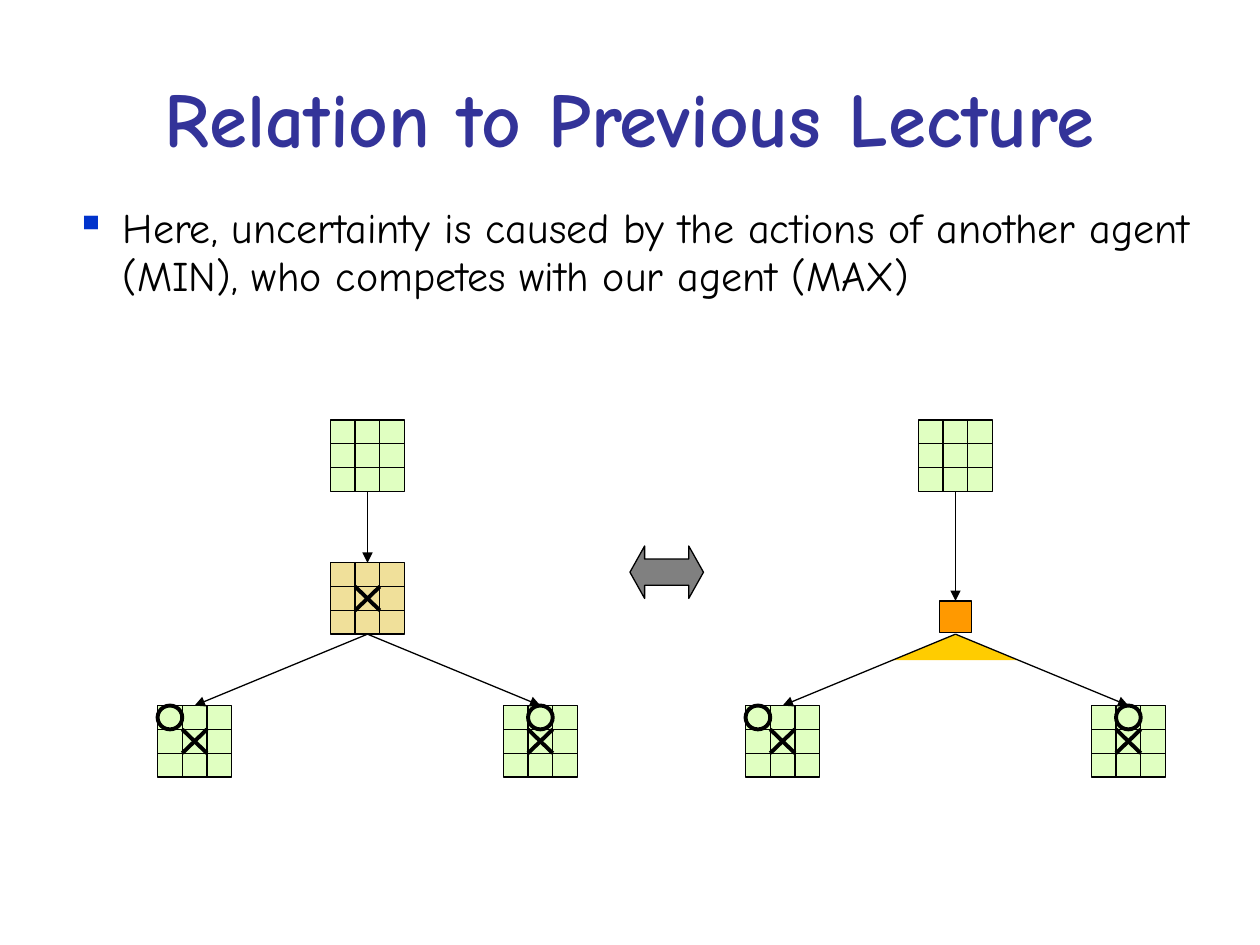
from lxml.etree import SubElement
from pptx import Presentation
from pptx.dml.color import RGBColor
from pptx.enum.shapes import MSO_CONNECTOR, MSO_SHAPE
from pptx.enum.text import MSO_ANCHOR, PP_ALIGN
from pptx.oxml.ns import qn
from pptx.util import Pt

BLACK = RGBColor(0x00, 0x00, 0x00)
TITLE_BLUE = RGBColor(0x33, 0x33, 0x99)
BULLET_BLUE = RGBColor(0x00, 0x33, 0xCC)
GREEN = RGBColor(0xE0, 0xFF, 0xC1)
TAN = RGBColor(0xF0, 0xE0, 0x9A)
ORANGE = RGBColor(0xFF, 0x99, 0x00)
YELLOW = RGBColor(0xFF, 0xCC, 0x00)
GRAY = RGBColor(0x80, 0x80, 0x80)

CELL_W, CELL_H = 14.1, 13.6
BOARD_W, BOARD_H = 3 * CELL_W, 3 * CELL_H
TOP, MIDDLE, BOTTOM = (240 + 2 * BOARD_H * level for level in range(3))
SPREAD = 98.8


class GameSlide:
    font_name = "Comic Neue"
    thin, thick = 0.75, 2.25

    def __init__(self, slide):
        self.shapes = slide.shapes

    def text(self, wording, left, top, width, height, size, color, bold=False):
        frame = self.shapes.add_textbox(Pt(left), Pt(top), Pt(width), Pt(height)).text_frame
        frame.word_wrap = True
        paragraph = frame.paragraphs[0]
        paragraph.text = wording
        font = paragraph.font
        font.name, font.size, font.bold = self.font_name, Pt(size), bold
        font.color.rgb = color
        return frame

    def title(self, wording):
        frame = self.text(wording, 36, 21.6, 648, 90, 44, TITLE_BLUE, bold=True)
        frame.vertical_anchor = MSO_ANCHOR.MIDDLE
        frame.paragraphs[0].alignment = PP_ALIGN.CENTER

    def bullet(self, wording):
        frame = self.text(wording, 36, 113.8, 660, 396, 24, BLACK)
        paragraph = frame.paragraphs[0]
        properties = paragraph.font._element.getparent()
        properties.set("marL", str(Pt(27)))
        properties.set("indent", str(Pt(-27)))
        bullet_color = SubElement(properties, qn("a:buClr"))
        SubElement(bullet_color, qn("a:srgbClr")).set("val", str(BULLET_BLUE))
        bullet_mark = SubElement(properties, qn("a:buChar"))
        bullet_mark.set("char", "▪")
        bullet_mark.addprevious(bullet_color)
        properties.append(paragraph.font._element)
        paragraph.line_spacing = 0.95

    def shape(self, kind, left, top, width, height, fill=None, weight=thin):
        shape = self.shapes.add_shape(kind, Pt(left), Pt(top), Pt(width), Pt(height))
        shape.shadow.inherit = False
        if fill is None:
            shape.fill.background()
        else:
            shape.fill.solid()
            shape.fill.fore_color.rgb = fill
        shape.line.color.rgb = BLACK
        shape.line.width = Pt(weight)
        return shape

    def line(self, x1, y1, x2, y2, weight=thin, arrow=False):
        line = self.shapes.add_connector(MSO_CONNECTOR.STRAIGHT, Pt(x1), Pt(y1), Pt(x2), Pt(y2))
        line.line.color.rgb = BLACK
        line.line.width = Pt(weight)
        if arrow:
            SubElement(line.line._get_or_add_ln(), qn("a:tailEnd")).set("type", "triangle")
        SubElement(line._element.spPr, qn("a:effectLst"))

    def board(self, center, top, fill=GREEN, cross=False, nought_column=None):
        """Draw a 3 by 3 board, with X in the middle and O in the top row if asked."""
        left = center - BOARD_W / 2
        self.shape(MSO_SHAPE.RECTANGLE, left, top, BOARD_W, BOARD_H, fill)
        x1, x2 = left + CELL_W, left + 2 * CELL_W
        y1, y2 = top + CELL_H, top + 2 * CELL_H
        for y in (y1, y2):
            self.line(left, y, left + BOARD_W, y)
        for x in (x1, x2):
            self.line(x, top, x, top + BOARD_H)
        if cross:
            self.line(x1, y1, x2, y2, self.thick)
            self.line(x1, y2, x2, y1, self.thick)
        if nought_column is not None:
            self.shape(MSO_SHAPE.OVAL, left + nought_column * CELL_W, top,
                       CELL_W, CELL_H, weight=self.thick)

    def wedge(self, center, top, half_width, height):
        builder = self.shapes.build_freeform(Pt(center), Pt(top))
        base = top + height
        builder.add_line_segments([(Pt(center - half_width), Pt(base)),
                                   (Pt(center + half_width), Pt(base))], close=True)
        wedge = builder.convert_to_shape()
        wedge.shadow.inherit = False
        wedge.fill.solid()
        wedge.fill.fore_color.rgb = YELLOW
        wedge.line.fill.background()

    def tree(self, center, action_top):
        """Draw the start board, the arrow to the action and the two outcomes."""
        fork = MIDDLE + BOARD_H
        self.board(center, TOP)
        self.line(center, TOP + BOARD_H, center, action_top, arrow=True)
        for nought_column, side in enumerate((-1, 1)):
            outcome = center + side * SPREAD
            self.board(outcome, BOTTOM, cross=True, nought_column=nought_column)
            self.line(center, fork, outcome, BOTTOM, arrow=True)


def main():
    presentation = Presentation()
    presentation.slide_width, presentation.slide_height = Pt(720), Pt(540)
    slide = GameSlide(presentation.slides.add_slide(presentation.slide_layouts[6]))

    slide.title("Relation to Previous Lecture")
    slide.bullet("Here, uncertainty is caused by the actions of another agent (MIN), "
                 "who competes with our agent (MAX)")

    game_center, action_center = 210, 546
    slide.board(game_center, MIDDLE, TAN, cross=True)
    slide.tree(game_center, MIDDLE)

    action_size, action_top = 18, 343.4
    slide.wedge(action_center, MIDDLE + BOARD_H, 35.7, 14.8)
    slide.tree(action_center, action_top)
    slide.shape(MSO_SHAPE.RECTANGLE, action_center - action_size / 2, action_top,
                action_size, action_size, ORANGE)

    equivalence = slide.shape(MSO_SHAPE.LEFT_RIGHT_ARROW, 360, 312, 42, 30, GRAY)
    equivalence.adjustments[0] = 0.5
    equivalence.adjustments[1] = 0.28

    presentation.save("out.pptx")


if __name__ == "__main__":
    main()
